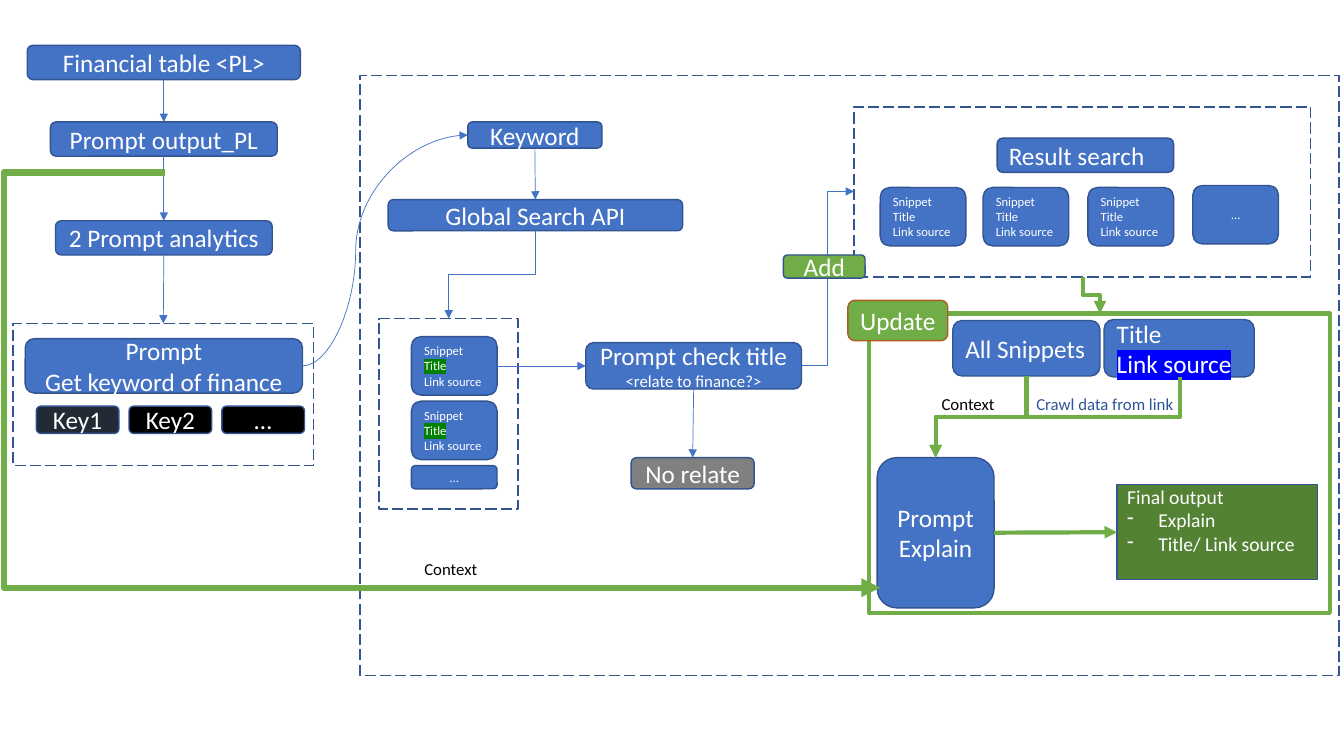
from lxml import etree
from pptx import Presentation
from pptx import util as u
from pptx.dml import color
from pptx.enum import dml, shapes, text
from pptx.oxml import ns

BLUE, GREEN, WHITE, NAVY, BLACK = "4472C4", "70AD47", "FFFFFF", "325491", "000000"
SNIPPET = ["Snippet", "Title", "Link source"]
TOP, LEFT, BOTTOM, RIGHT = range(4)


def rgb(value):
    return color.RGBColor.from_string(value)


def child(parent, tag, **attributes):
    return etree.SubElement(parent, ns.qn(tag), attributes)


def write(frame, lines, size, ink, align, highlights):
    frame.word_wrap = True
    for index, line in enumerate(lines):
        para = frame.paragraphs[0] if index == 0 else frame.add_paragraph()
        para.alignment = align
        para.font.name = "Calibri"
        para.font.size = u.Pt(size)
        para.font.color.rgb = rgb(ink)
        span = para.add_run()
        span.text = line
        if line in highlights:
            mark = child(span.font._element, "a:highlight")
            child(mark, "a:srgbClr", val=highlights[line])


def add_shape(page, kind, place, fill, line, weight):
    shape = page.shapes.add_shape(kind, *map(u.Inches, place))
    shape.shadow.inherit = False
    if fill:
        shape.fill.solid()
        shape.fill.fore_color.rgb = rgb(fill)
    else:
        shape.fill.background()
    shape.line.color.rgb = rgb(line)
    shape.line.width = u.Pt(weight)
    return shape


def add_box(page, place, lines, size=18, fill=BLUE, line=NAVY, centred=True,
            highlights={}, kind=shapes.MSO_SHAPE.ROUNDED_RECTANGLE):
    box = add_shape(page, kind, place, fill, line, 1)
    box.text_frame.vertical_anchor = text.MSO_ANCHOR.MIDDLE
    align = text.PP_ALIGN.CENTER if centred else text.PP_ALIGN.LEFT
    write(box.text_frame, lines, size, WHITE, align, highlights)
    return box


def add_frame(page, place, line=NAVY, weight=1, dashed=True):
    frame = add_shape(page, shapes.MSO_SHAPE.RECTANGLE, place, None, line, weight)
    if dashed:
        frame.line.dash_style = dml.MSO_LINE.LONG_DASH
    return frame


def add_label(page, place, words, ink=BLACK):
    label = page.shapes.add_textbox(*map(u.Inches, place))
    write(label.text_frame, [words], 12, ink, text.PP_ALIGN.LEFT, {})


def add_arrow(page, kind, start, end, line, weight):
    arrow = page.shapes.add_connector(kind, *map(u.Inches, (*start, *end)))
    arrow.line.color.rgb = rgb(line)
    arrow.line.width = u.Pt(weight)
    properties = arrow._element.spPr
    child(properties.find(ns.qn("a:ln")), "a:tailEnd", type="triangle")
    child(properties, "a:effectLst")
    return arrow


def join(page, source, source_side, target, target_side, line=BLUE, weight=0.5):
    arrow = add_arrow(page, shapes.MSO_CONNECTOR.STRAIGHT, (0, 0), (1, 1), line, weight)
    arrow.begin_connect(source, source_side)
    arrow.end_connect(target, target_side)


def route(page, start, end, line=BLUE, weight=0.5, bend=0.5,
          kind=shapes.MSO_CONNECTOR.ELBOW):
    arrow = add_arrow(page, kind, start, end, line, weight)
    guides = arrow._element.spPr.find(ns.qn("a:prstGeom")).find(ns.qn("a:avLst"))
    child(guides, "a:gd", name="adj1", fmla=f"val {round(bend * 100000)}")
    return arrow


def route_down(page, start, end, line=BLUE, weight=0.5):
    (x1, y1), (x2, y2) = start, end
    middle_x, middle_y = (x1 + x2) / 2, (y1 + y2) / 2
    half_x, half_y = (x2 - x1) / 2, (y2 - y1) / 2
    arrow = route(page, (middle_x - half_y, middle_y + half_x),
                  (middle_x + half_y, middle_y - half_x), line, weight)
    arrow._element.spPr.find(ns.qn("a:xfrm")).set("rot", "5400000")


def add_analysis(page):
    table = add_box(page, (0.27, 0.45, 2.71, 0.34), ["Financial table <PL>"])
    output = add_box(page, (0.5, 1.21, 2.25, 0.34), ["Prompt output_PL"])
    analytics = add_box(page, (0.55, 2.19, 2.15, 0.34), ["2 Prompt analytics"])
    group = add_frame(page, (0.13, 3.21, 2.98, 1.41))
    add_box(page, (0.25, 3.36, 2.75, 0.54), ["Prompt", "Get keyword of finance"])
    keys = [("Key1", "222A35"), ("Key2", BLACK), ("…", BLACK)]
    for index, (key, fill) in enumerate(keys):
        add_box(page, (0.36 + 0.92 * index, 4.03, 0.82, 0.27), [key], fill=fill)
    for source, target in ((table, output), (output, analytics), (analytics, group)):
        join(page, source, BOTTOM, target, TOP)


def add_search(page):
    add_frame(page, (3.57, 0.75, 9.71, 5.95))
    keyword = add_box(page, (4.64, 1.21, 1.33, 0.26), ["Keyword"])
    search = add_box(page, (3.85, 1.98, 2.92, 0.31), ["Global Search API"])
    add_frame(page, (3.76, 3.16, 1.38, 1.89))
    snippets = [add_box(page, (4.08, top, 0.85, 0.58), SNIPPET, 9, centred=False,
                        highlights={"Title": "008000"}) for top in (3.34, 3.98)]
    add_box(page, (4.08, 4.62, 0.85, 0.23), ["…"], 9)
    check = add_box(page, (5.81, 3.4, 2.14, 0.46),
                    ["Prompt check title", "<relate to finance?>"])
    check.text_frame.paragraphs[1].font.size = u.Pt(12)
    unrelated = add_box(page, (6.26, 4.54, 1.22, 0.31), ["No relate"], fill="808080")
    route(page, (3, 3.63), (4.64, 1.34), bend=0.322, kind=shapes.MSO_CONNECTOR.CURVE)
    join(page, keyword, BOTTOM, search, TOP)
    route_down(page, (5.31, 2.29), (4.45, 3.16))
    join(page, snippets[0], RIGHT, check, LEFT)
    join(page, check, BOTTOM, unrelated, TOP)


def add_results(page):
    add_frame(page, (8.47, 1.06, 4.53, 1.69))
    add_box(page, (9.89, 1.37, 1.75, 0.34), ["Result search"], centred=False)
    for left in (8.73, 9.75, 10.79):
        add_box(page, (left, 1.86, 0.85, 0.58), SNIPPET, 9, centred=False)
    add_box(page, (11.83, 1.84, 0.85, 0.58), ["…"], 9)
    route(page, (7.95, 3.63), (8.47, 1.9))
    add_box(page, (7.77, 2.53, 0.81, 0.23), ["Add"], fill=GREEN)


def add_final(page):
    explain = add_box(page, (8.7, 4.54, 1.16, 1.49), ["Prompt", "Explain"])
    add_box(page, (10.95, 3.17, 1.49, 0.57), ["Title", "Link source"],
            centred=False, highlights={"Link source": "0000FF"})
    add_frame(page, (8.62, 3.11, 4.57, 2.97), GREEN, 3, dashed=False)
    add_box(page, (9.45, 3.18, 1.46, 0.55), ["All Snippets"], centred=False)
    final = add_box(page, (11.08, 4.81, 1.99, 0.94),
                    ["Final output", "Explain", "Title/ Link source"], 14,
                    fill="548235", centred=False, kind=shapes.MSO_SHAPE.RECTANGLE)
    final.text_frame.vertical_anchor = text.MSO_ANCHOR.TOP
    final.text_frame.margin_top = 0
    for para in final.text_frame.paragraphs[1:]:
        properties = para._p.get_or_add_pPr()
        indent = u.Inches(0.31)
        properties.set("marL", str(indent))
        properties.set("indent", str(-indent))
        bullet = etree.Element(ns.qn("a:buChar"), char="-")
        properties.insert(0, bullet)
    route(page, (1.64, 1.71), (8.73, 5.83), GREEN, 4.5, -0.226)
    route_down(page, (10.74, 2.75), (10.91, 3.11), GREEN, 3)
    for start in ((10.18, 3.73), (11.7, 3.74)):
        route_down(page, start, (9.28, 4.54), GREEN, 3)
    join(page, explain, RIGHT, final, LEFT, GREEN, 3)
    add_label(page, (4.11, 5.49, 0.82, 0.3), "Context")
    add_label(page, (9.24, 3.86, 0.82, 0.3), "Context")
    add_label(page, (10.18, 3.86, 1.72, 0.3), "Crawl data from link", "2F5597")
    add_box(page, (8.41, 2.98, 0.99, 0.4), ["Update"], fill=GREEN, line="AF5C24")


def main():
    deck = Presentation()
    deck.slide_width, deck.slide_height = u.Inches(13.33), u.Inches(7.5)
    page = deck.slides.add_slide(deck.slide_layouts[6])
    add_analysis(page)
    add_search(page)
    add_results(page)
    add_final(page)
    deck.save("out.pptx")


if __name__ == "__main__":
    main()
